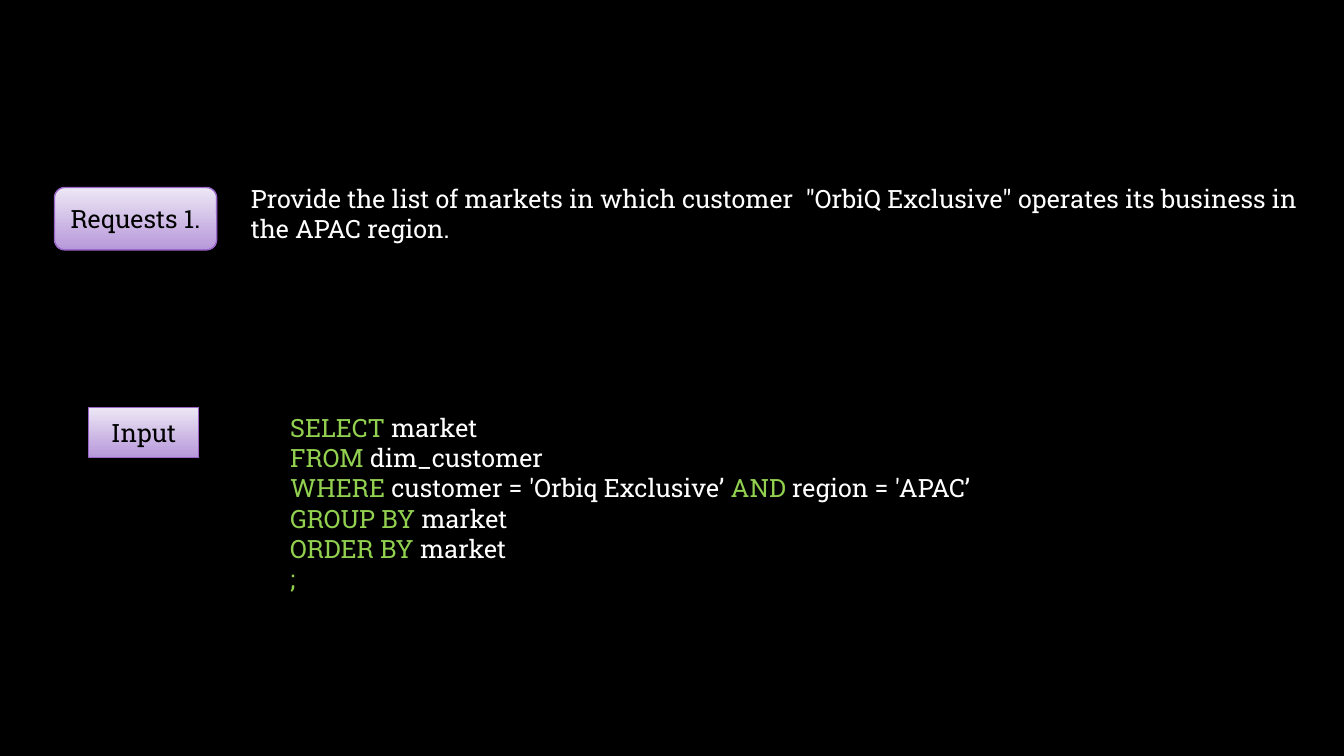
import pptx
import pptx.dml.color
import pptx.enum.shapes
import pptx.enum.text
import pptx.util

Pt = pptx.util.Pt
SHAPE = pptx.enum.shapes.MSO_SHAPE
ALIGN = pptx.enum.text.PP_ALIGN
ANCHOR = pptx.enum.text.MSO_ANCHOR

BLACK, WHITE, GREEN = "000000", "FFFFFF", "92D050"
LILAC_LIGHT, LILAC_DARK, PURPLE = "EDE7F5", "B798DA", "9A66CA"
FONT = {"name": "Roboto Slab", "size": Pt(18)}

REQUEST = ('Provide the list of markets in which customer  "OrbiQ Exclusive" '
           "operates its business in the APAC region.")
# Each query line alternates keyword, plain text, keyword, ...
QUERY = [
    ["SELECT ", "market"],
    ["FROM ", "dim_customer"],
    ["WHERE ", "customer = 'Orbiq Exclusive’ ", "AND ", "region = 'APAC’"],
    ["GROUP BY ", "market"],
    ["ORDER BY ", "market"],
    [";"],
]


def rgb(value):
    return pptx.dml.color.RGBColor.from_string(value)


def set_attrs(obj, values):
    for name, value in values.items():
        setattr(obj, name, value)


def add_run(p, text, color):
    r = p.add_run()
    r.text = text
    set_attrs(r.font, FONT)
    r.font.color.rgb = rgb(color)


def add_label(shapes, kind, box, text):
    """Gradient label with centred text."""
    sp = shapes.add_shape(kind, *map(Pt, box))
    sp.shadow.inherit = False
    sp.fill.gradient()
    sp.fill.gradient_angle = 270
    for stop, color in zip(sp.fill.gradient_stops, (LILAC_LIGHT, LILAC_DARK)):
        stop.color.rgb = rgb(color)
    sp.line.color.rgb = rgb(PURPLE)
    sp.line.width = Pt(1)
    tf = sp.text_frame
    set_attrs(tf, {"word_wrap": True, "vertical_anchor": ANCHOR.MIDDLE})
    p = tf.paragraphs[0]
    p.alignment = ALIGN.CENTER
    add_run(p, text, BLACK)


def add_text(shapes, box, lines, colors):
    """Text box with one paragraph per line; runs cycle through colors."""
    tf = shapes.add_textbox(*map(Pt, box)).text_frame
    tf.word_wrap = True
    for i, parts in enumerate(lines):
        p = tf.add_paragraph() if i else tf.paragraphs[0]
        for j, text in enumerate(parts):
            add_run(p, text, colors[j % len(colors)])


def main():
    prs = pptx.Presentation()
    set_attrs(prs, {"slide_width": Pt(960), "slide_height": Pt(540)})
    s = prs.slides.add_slide(prs.slide_layouts[6])
    s.background.fill.solid()
    s.background.fill.fore_color.rgb = rgb(BLACK)

    # Request
    add_label(s.shapes, SHAPE.ROUNDED_RECTANGLE, (38.9, 133.9, 115.9, 44.6), "Requests 1.")
    add_text(s.shapes, (172.1, 127.3, 778.3, 51), [[REQUEST]], [WHITE])

    # Query with its label
    group = s.shapes.add_group_shape()
    add_text(group.shapes, (200.2, 290.9, 510.5, 138.2), QUERY, [GREEN, WHITE])
    add_label(group.shapes, SHAPE.RECTANGLE, (63.4, 290.9, 78.5, 36), "Input")

    prs.save("out.pptx")


if __name__ == "__main__":
    main()
